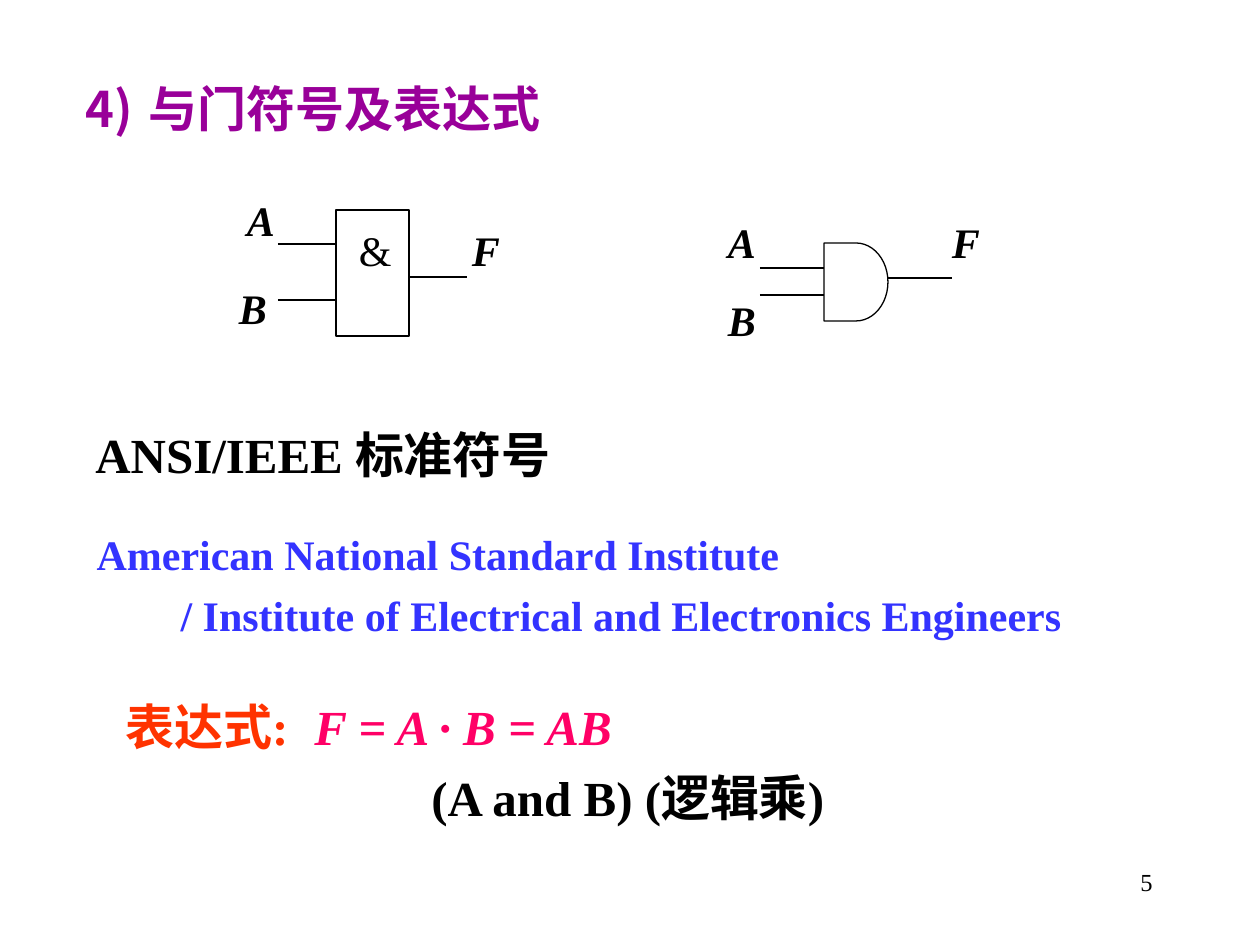
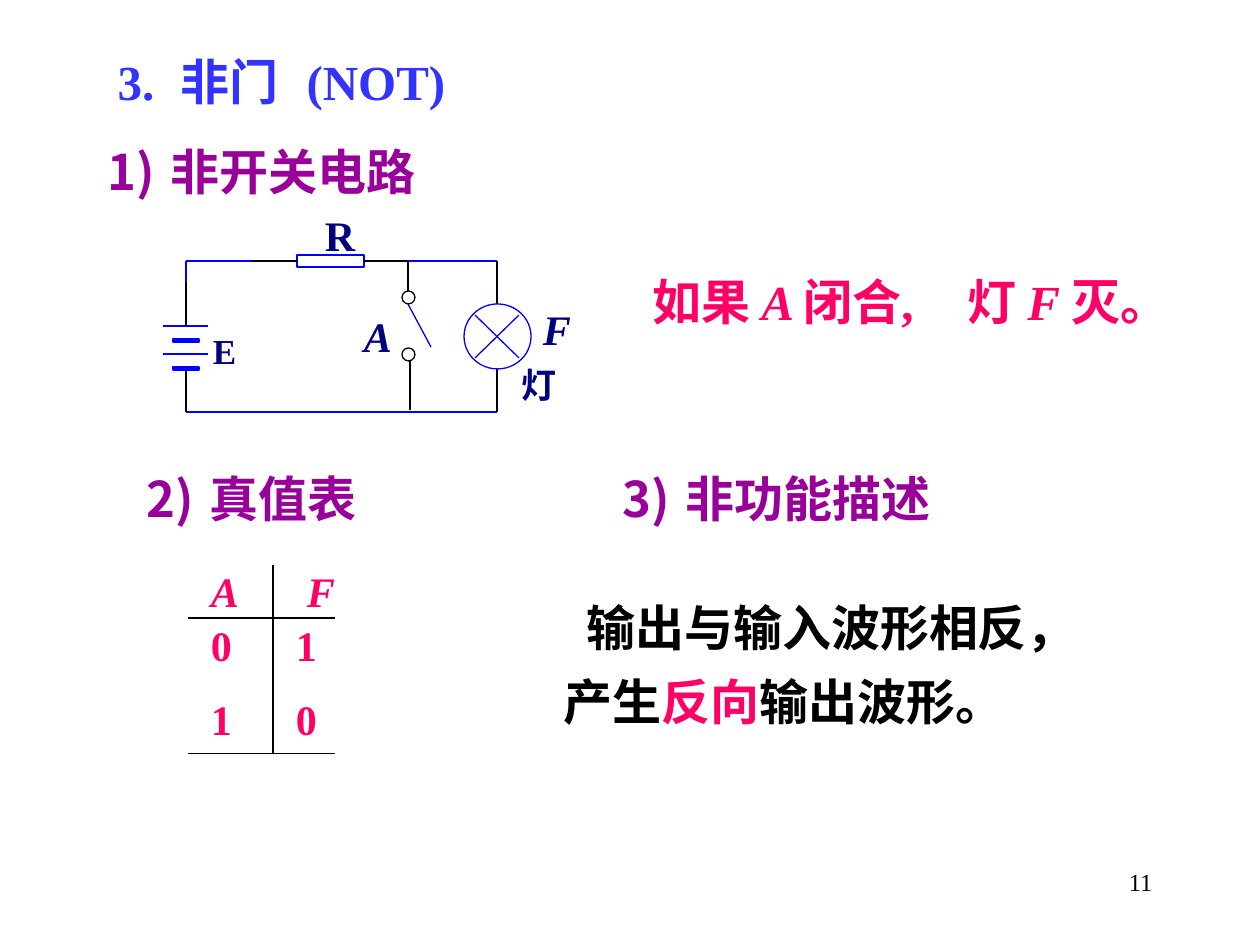
from collections import namedtuple
from lxml.etree import SubElement
from pptx import Presentation
from pptx.dml.color import RGBColor
from pptx.enum.shapes import MSO_CONNECTOR, MSO_SHAPE
from pptx.enum.text import MSO_ANCHOR, MSO_AUTO_SIZE, PP_ALIGN
from pptx.oxml.ns import qn
from pptx.util import Emu, Inches, Pt

PX = 914400 / 126
LATIN, CJK = "Times New Roman", "Noto Sans CJK SC"
BLACK = RGBColor(0x00, 0x00, 0x00)
WHITE = RGBColor(0xFF, 0xFF, 0xFF)
PURPLE = RGBColor(0x99, 0x00, 0x99)
INDIGO = RGBColor(0x33, 0x33, 0xFF)
PINK = RGBColor(0xFF, 0x00, 0x66)
ORANGE = RGBColor(0xFF, 0x33, 0x00)
NAVY = RGBColor(0x00, 0x00, 0x80)
BLUE = RGBColor(0x00, 0x00, 0xFF)

Box = namedtuple("Box", "left top width height", defaults=(0, 0))
Run = namedtuple("Run", "text color size bold italic font",
                 defaults=(BLACK, 28, True, False, LATIN))


def px(length):
    return Emu(round(length * PX))


def inside(origin, left, top, width=0, height=0):
    """Turn a place within a region into a place on the slide."""
    return Box(origin.left + left, origin.top + top, width, height)


# ---- Text ----
def add_run(paragraph, item):
    run = paragraph.add_run()
    run.text = item.text
    font = run.font
    font.name, font.size = item.font, Pt(item.size)
    font.bold, font.italic = item.bold, item.italic
    font.color.rgb = item.color
    SubElement(font._element, qn("a:ea"), typeface=CJK)


def format_paragraph(paragraph, margin=0, indent=0, tabs=(), number=None):
    properties = paragraph._p.get_or_add_pPr()
    properties.set("marL", str(px(margin)))
    properties.set("indent", str(px(indent)))
    if number:
        color = SubElement(properties, qn("a:buClr"))
        SubElement(color, qn("a:srgbClr"), val=str(PURPLE))
        SubElement(properties, qn("a:buFont"), typeface=CJK)
        SubElement(properties, qn("a:buAutoNum"), type="arabicParenR",
                   startAt=str(number))
    else:
        SubElement(properties, qn("a:buNone"))
    if tabs:
        tab_list = SubElement(properties, qn("a:tabLst"))
        for position in tabs:
            SubElement(tab_list, qn("a:tab"), pos=str(px(position)), algn="l")


def write(shape, lines, gap=0, layouts=({},), align=PP_ALIGN.LEFT):
    """Fill a shape with lines of runs; layouts holds each line's indents."""
    frame = shape.text_frame
    frame.word_wrap = True
    frame.auto_size = MSO_AUTO_SIZE.NONE
    frame.vertical_anchor = MSO_ANCHOR.TOP
    for index, line in enumerate(lines):
        paragraph = frame.add_paragraph() if index else frame.paragraphs[0]
        format_paragraph(paragraph, **layouts[min(index, len(layouts) - 1)])
        paragraph.alignment = align
        paragraph.space_before = Pt(gap if index else 0)
        for item in line:
            add_run(paragraph, item)


def move(shape, box):
    shape.left, shape.top, shape.width, shape.height = map(px, box)
    return shape


def add_box(slide, box):
    return slide.shapes.add_textbox(*map(px, box))


def add_label(slide, origin, left, top, text, color=BLACK, size=24, italic=True):
    shape = add_box(slide, inside(origin, left, top, 40, 50))
    write(shape, [[Run(text, color, size, italic=italic)]])
    frame = shape.text_frame
    frame.word_wrap = False
    frame.margin_left = frame.margin_top = 0
    frame.margin_right = frame.margin_bottom = 0


def write_heading(shape, number, text):
    layout = {"margin": 63, "indent": -63, "number": number}
    write(shape, [[Run(text, PURPLE)]], layouts=[layout])


# ---- Lines and shapes ----
def add_wire(slide, origin, start, end, color=BLACK, begin=None, finish=None):
    """Draw a line; begin and finish are (shape, side) pairs to join."""
    first, last = inside(origin, *start), inside(origin, *end)
    wire = slide.shapes.add_connector(
        MSO_CONNECTOR.STRAIGHT, px(first.left), px(first.top),
        px(last.left), px(last.top))
    if begin:
        wire.begin_connect(*begin)
    if finish:
        wire.end_connect(*finish)
    wire.line.color.rgb = color
    wire.line.width = Pt(0.75)
    SubElement(wire._element.spPr, qn("a:effectLst"))


def add_part(slide, origin, kind, place, line=BLACK, fill=None, width=0.75):
    shape = slide.shapes.add_shape(kind, *map(px, inside(origin, *place)))
    shape.shadow.inherit = False
    shape.line.color.rgb = line
    shape.line.width = Pt(width)
    if fill is None:
        shape.fill.background()
    else:
        shape.fill.solid()
        shape.fill.fore_color.rgb = fill
    return shape


# ---- Regions ----
def add_gate(slide, origin, kind, body, input_rows, output_row, lead, labels):
    left, top, width, height = body
    shape = add_part(slide, origin, kind, body, fill=WHITE)
    for row in input_rows:
        add_wire(slide, origin, (left - lead, row), (left, row))
    right = left + width
    add_wire(slide, origin, (right, output_row), (right + lead, output_row))
    for text, x, y in labels:
        add_label(slide, origin, x, y, text)
    return shape


def add_circuit(slide, origin):
    top, bottom, left, right, branch = 57, 208, 23, 334, 245

    # Resistor and top wire
    resistor = add_part(slide, origin, MSO_SHAPE.RECTANGLE, (134, 51, 67, 12), BLUE)
    add_wire(slide, origin, (89, top), (134, top), finish=(resistor, 1))
    add_wire(slide, origin, (201, top), (branch, top), begin=(resistor, 3))

    # Blue wires: top, bottom, battery plates, cross in the lamp, switch arm
    for start, end in [((left, top), (89, top)), ((branch, top), (right, top)),
                       ((left, bottom), (right, bottom)), ((left, top), (left, 78)),
                       ((0, 122), (45, 122)), ((0, 150), (45, 150)),
                       ((312, 111), (356, 154)), ((356, 111), (312, 154)),
                       ((branch, 100), (268, 143))]:
        add_wire(slide, origin, start, end, BLUE)

    # Black upright wires: battery, lamp, switch
    for x, start, end in [(left, 78, 122), (left, 165, bottom),
                          (right, top, 100), (right, 165, bottom),
                          (branch, top, 87), (247, 157, 206)]:
        add_wire(slide, origin, (x, start), (x, end))

    # Short plates, lamp and switch contacts
    for y in (135, 163):
        add_part(slide, origin, MSO_SHAPE.RECTANGLE, (10, y, 26, 3), BLUE, BLUE)
    add_part(slide, origin, MSO_SHAPE.OVAL, (301, 100, 67, 65), BLUE)
    for y in (87, 144):
        add_part(slide, origin, MSO_SHAPE.OVAL, (239, y, 13, 13), width=0)

    for text, x, y, size, italic in [
            ("R", 162, 6, 24, False), ("E", 50, 126, 20, False),
            ("A", 201, 107, 24, True), ("F", 380, 100, 24, True),
            ("灯", 359, 160, 20, False)]:
        add_label(slide, origin, x, y, text, NAVY, size, italic)


def set_borders(cell, shown):
    properties = cell._tc.get_or_add_tcPr()
    for side in "LRTB":
        line = SubElement(properties, qn("a:ln" + side), w=str(Pt(0.75)))
        if side in shown:
            fill = SubElement(line, qn("a:solidFill"))
            SubElement(fill, qn("a:srgbClr"), val=str(BLACK))
        else:
            SubElement(line, qn("a:noFill"))


def add_truth_table(slide, box, rows):
    table = slide.shapes.add_table(len(rows), 2, *map(px, box)).table
    table.first_row = table.horz_banding = False
    for column, width in zip(table.columns, (85, box.width - 85)):
        column.width = px(width)
    for row, height in zip(table.rows, (53, 68, 68)):
        row.height = px(height)
    top_margins = (5, 6, 12)
    for y, values in enumerate(rows):
        for x, value in enumerate(values):
            cell = table.cell(y, x)
            set_borders(cell, ("L" if x else "R") + ("TB" if y == 2 else "T" if y else "B")
                        if y != 1 else ("LT" if x else "RT"))
            cell.fill.background()
            cell.margin_left = px((34 if y == 0 else 23) if x else 23)
            cell.margin_top = px(top_margins[y])
            cell.margin_right = cell.margin_bottom = 0
            if y == 2:
                set_top = cell._tc.tcPr.find(qn("a:lnT"))
                set_top.clear()
                SubElement(set_top, qn("a:noFill"))
            add_run(cell.text_frame.paragraphs[0],
                    Run(value, PINK, 24, italic=y == 0))


# ---- Slides ----
def start_slide(presentation, number):
    slide = presentation.slides.add_slide(presentation.slide_layouts[1])
    write(add_box(slide, Box(903, 861, 262, 63)),
          [[Run(number, size=14, bold=False)]], align=PP_ALIGN.RIGHT)
    return slide, slide.shapes.title, slide.placeholders[1]


def build_and_gate(presentation):
    slide, title, body = start_slide(presentation, "5")
    write_heading(move(title, Box(73, 72, 1152, 72)), 4, "与门符号及表达式")

    # Gate symbols
    square = add_gate(slide, Box(227, 189), MSO_SHAPE.RECTANGLE,
                      (109, 21, 73, 126), (55, 111), 88, 58,
                      [("A", 20, 6), ("B", 12, 94), ("F", 245, 36)])
    write(square, [[Run("&", size=24, bold=False)]])
    square.text_frame.margin_left = px(23)
    square.text_frame.margin_right = 0
    square.text_frame.margin_top = px(15)
    add_gate(slide, Box(728, 217), MSO_SHAPE.FLOWCHART_DELAY,
             (96, 26, 64, 78), (51, 78), 61, 64,
             [("A", 0, 0), ("B", 0, 78), ("F", 224, 0)])

    # Standard and its full name
    write(add_box(slide, Box(83, 418, 527, 72)), [[Run("ANSI/IEEE 标准符号")]])
    write(move(body, Box(84, 522, 1071, 125)),
          [[Run("American National Standard Institute", INDIGO, 24)],
           [Run("/ Institute of Electrical and Electronics Engineers", INDIGO, 24)]],
          gap=6, layouts=[{}, {"margin": 84}])

    # Expression
    write(add_box(slide, Box(113, 690, 945, 142)),
          [[Run("表达式:\t", ORANGE), Run("F = A · B = AB", PINK, italic=True)],
           [Run("(A and B) (逻辑乘)")]],
          gap=7, layouts=[{"tabs": [249]}, {"margin": 306}])


def build_not_gate(presentation):
    slide, title, body = start_slide(presentation, "11")
    write(move(title, Box(105, 45, 693, 72)),
          [[Run("3.\t非门\t(NOT)", INDIGO)]], layouts=[{"tabs": [73, 205]}])

    # Numbered headings
    for number, (text, box) in enumerate([
            ("非开关电路", Box(95, 135, 651, 72)),
            ("真值表", Box(134, 462, 397, 72)),
            ("非功能描述", Box(610, 462, 388, 72))], start=1):
        write_heading(add_box(slide, box), number, text)

    # Circuit and what it does
    add_circuit(slide, Box(163, 204))
    write(add_box(slide, Box(640, 265, 515, 131)),
          [[Run("如果 ", PINK), Run("A ", PINK, italic=True),
            Run("闭合,\t灯 ", PINK), Run("F ", PINK, italic=True),
            Run("灭。", PINK)]], layouts=[{"tabs": [347]}])

    # Truth table and description
    add_truth_table(slide, Box(188, 565, 147, 189),
                    [("A", "F"), ("0", "1"), ("1", "0")])
    write(move(body, Box(551, 591, 605, 146)),
          [[Run("输出与输入波形相反，", font=CJK)],
           [Run("产生", font=CJK), Run("反向", PINK, font=CJK),
            Run("输出波形。", font=CJK)]],
          gap=8.8, layouts=[{"indent": 23}, {}])


def main():
    presentation = Presentation()
    presentation.slide_width, presentation.slide_height = Inches(10), Inches(7.5)
    build_and_gate(presentation)
    build_not_gate(presentation)
    presentation.save("out.pptx")


if __name__ == "__main__":
    main()
